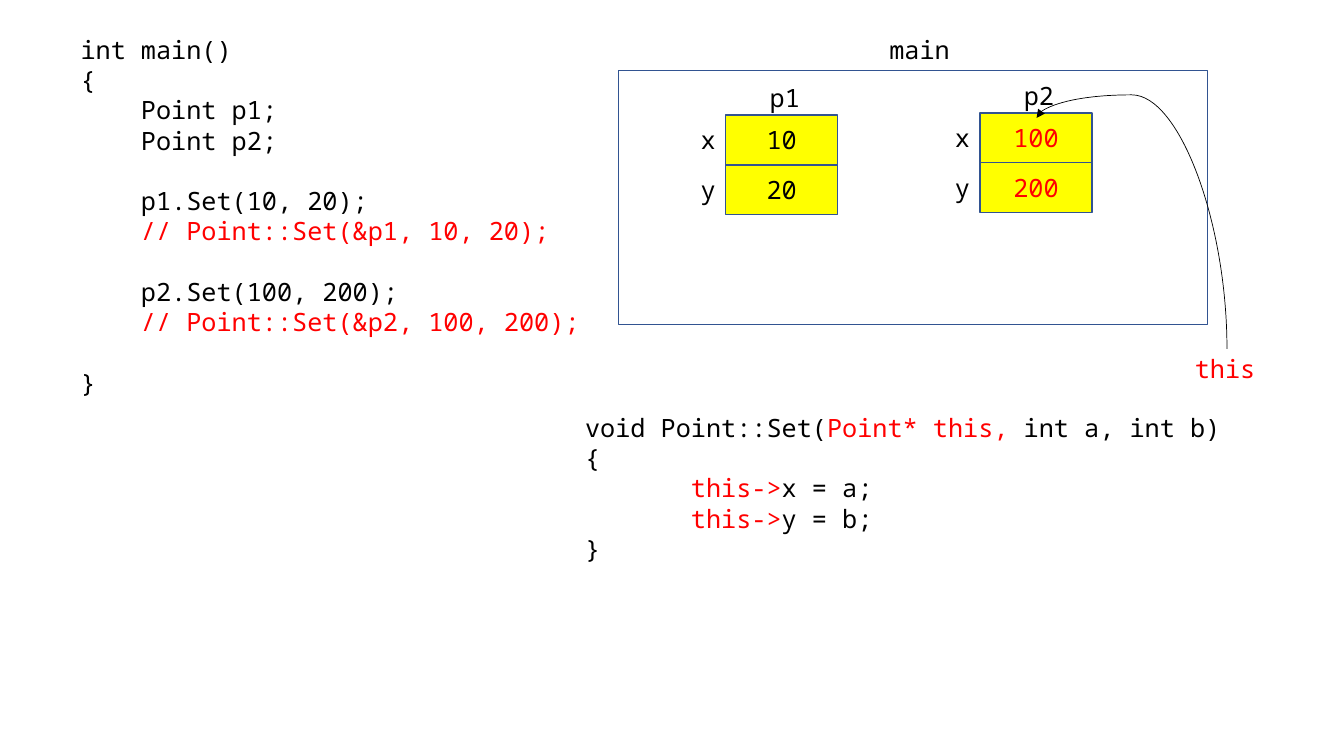
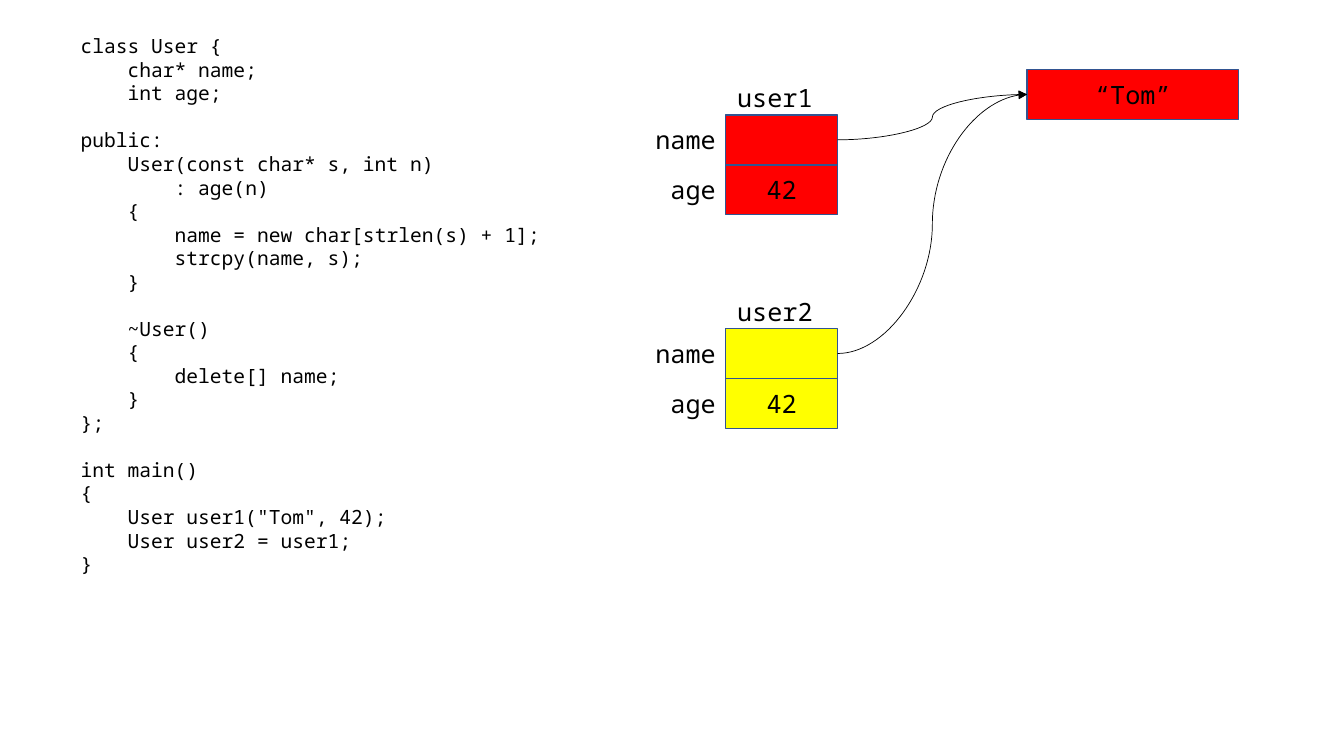
from lxml import etree
from pptx import Presentation
from pptx import util as u
from pptx.dml.color import RGBColor
from pptx.enum import shapes, text
from pptx.oxml import ns

COLORS = {"ink": "000000", "accent": "FF0000", "cell": "FFFF00",
          "paper": "FFFFFF", "edge": "325491"}
FONT = "Noto Sans Mono"
BODY, SMALL = 18, 14
LINE_HEIGHT, CHAR_WIDTH = 1.2, 0.6
WIDTH, HEIGHT = u.Inches(13.33), u.Inches(7.5)
COL, ROW = WIDTH / 120, HEIGHT / 75
CELL_COLS, CELL_ROWS, LABEL_ROWS = 10, 4.95, 4
ALIGN = text.PP_ALIGN

MAIN_CODE = """int main()
{
    Point p1;
    Point p2;

    p1.Set(10, 20);
    `// Point::Set(&p1, 10, 20);`

    p2.Set(100, 200);
    `// Point::Set(&p2, 100, 200);`

}"""

SET_CODE = """ void Point::Set(`Point* this, `int a, int b)
 {
        `this->`x = a;
        `this->`y = b;
 }"""

USER_CODE = """class User {
    char* name;
    int age;

public:
    User(const char* s, int n)
        : age(n)
    {
        name = new char[strlen(s) + 1];
        strcpy(name, s);
    }

    ~User()
    {
        delete[] name;
    }
};

int main()
{
    User user1("Tom", 42);
    User user2 = user1;
}"""


def rgb(color):
    """Look up a named colour."""
    return RGBColor.from_string(COLORS[color])


def place(left, top, cols, rows):
    """Turn a grid box into slide lengths."""
    return [u.Emu(round(n)) for n in (left * COL, top * ROW, cols * COL, rows * ROW)]


def style_run(run, size=BODY, color="ink"):
    """Apply the shared font to a run."""
    run.font.name, run.font.size = FONT, u.Pt(size)
    run.font.color.rgb = rgb(color)


def write(frame, words, align, color="ink"):
    """Put one styled line into a text frame."""
    frame.text = words
    line = frame.paragraphs[0]
    line.alignment = align
    for run in line.runs:
        style_run(run, color=color)


def text_frame(slide, box):
    """Add a wrapping text box and return its frame."""
    frame = slide.shapes.add_textbox(*place(*box)).text_frame
    frame.word_wrap = True
    frame.auto_size = text.MSO_AUTO_SIZE.SHAPE_TO_FIT_TEXT
    return frame


def label(slide, box, words, align=ALIGN.RIGHT, color="ink"):
    """Add a one-line label."""
    write(text_frame(slide, box), words, align, color)


def code(slide, box, source, size=BODY):
    """Set a listing: indents and gaps from its layout, accents between backticks."""
    frame = text_frame(slide, box)
    line, gap = frame.paragraphs[0], 0
    for number, raw in enumerate(source.split("\n")):
        statement = raw.lstrip()
        if not statement:
            gap += size * LINE_HEIGHT
            continue
        if number:
            line = frame.add_paragraph()
        line.space_before = u.Pt(gap)
        indent = (len(raw) - len(statement)) * CHAR_WIDTH * size
        line._p.get_or_add_pPr().set("marL", str(u.Pt(indent)))
        gap = 0
        for part, words in enumerate(statement.split("`")):
            if words:
                run = line.add_run()
                run.text = words
                style_run(run, size, "accent" if part % 2 else "ink")


def block(slide, box, fill, words="", color="ink"):
    """Add an outlined rectangle with centred text."""
    rect = slide.shapes.add_shape(shapes.MSO_SHAPE.RECTANGLE, *place(*box))
    rect.shadow.inherit = False
    rect.fill.solid()
    rect.fill.fore_color.rgb = rgb(fill)
    rect.line.color.rgb, rect.line.width = rgb("edge"), u.Pt(1)
    rect.text_frame.vertical_anchor = text.MSO_ANCHOR.MIDDLE
    if words:
        write(rect.text_frame, words, ALIGN.CENTER, color)
    return rect


def memory(slide, left, top, title, title_shift, title_cols, fields,
           fill="cell", color="ink"):
    """Draw an object as stacked fields and return its cells."""
    cells = []
    for index, (field, value) in enumerate(fields):
        y = top + index * CELL_ROWS
        cells.append(block(slide, (left, y, CELL_COLS, CELL_ROWS), fill, value, color))
        label(slide, (left - CELL_COLS, y + 0.45, CELL_COLS, LABEL_ROWS), field)
    label(slide, (left + title_shift, top - 3.7, title_cols, LABEL_ROWS), title)
    return cells


def curve(slide, *ends):
    """Add a thin curved arrow."""
    arrow = slide.shapes.add_connector(shapes.MSO_CONNECTOR.CURVE, *ends)
    arrow.line.color.rgb, arrow.line.width = rgb("ink"), u.Pt(0.5)
    tip = etree.SubElement(arrow.line._get_or_add_ln(), ns.qn("a:tailEnd"))
    tip.set("type", "triangle")
    etree.SubElement(arrow._element.spPr, ns.qn("a:effectLst"))
    return arrow


def link(slide, pointer, target):
    """Point from the right of one cell to the left of another."""
    arrow = curve(slide, 0, 0, 0, 0)
    arrow.begin_connect(pointer, 3)
    arrow.end_connect(target, 1)


def rising_curve(slide, start, end, overshoot):
    """Rise from start, pass above end and come down on it from the right."""
    x1, y1, x2, y2 = place(*start, *end)
    middle_x, middle_y = (x1 + x2) // 2, (y1 + y2) // 2
    half_rise, half_run = (y1 - y2) // 2, (x1 - x2) // 2
    arrow = curve(slide, middle_x - half_rise, middle_y + half_run,
                  middle_x + half_rise, middle_y - half_run)
    spPr = arrow._element.spPr
    spPr.find(ns.qn("a:xfrm")).set("rot", str(270 * 60000))
    bends = spPr.find(ns.qn("a:prstGeom")).get_or_add_avLst()
    bend = etree.SubElement(bends, ns.qn("a:gd"))
    bend.set("name", "adj1")
    bend.set("fmla", f"val {round(overshoot * 100000)}")


def this_slide(slide):
    """Show how this points at the object being set."""
    code(slide, (6.3, 2.9, 47.1, 37.4), MAIN_CODE)
    block(slide, (55.2, 7, 52.6, 25.2), "paper")
    label(slide, (76.25, 2.9, 11.7, LABEL_ROWS), "main", ALIGN.CENTER)
    memory(slide, 64.8, 11.4, "p1", 2.4, 5.1, [("x", "10"), ("y", "20")])
    memory(slide, 87.5, 11.2, "p2", 2.4, 5.1, [("x", "100"), ("y", "200")],
           color="accent")
    code(slide, (50, 40.4, 63.7, 16.2), SET_CODE)
    label(slide, (105.8, 34.6, 7.6, LABEL_ROWS), "this", ALIGN.LEFT, "accent")
    rising_curve(slide, (109.55, 34.6), (92.55, 11.7), 1.1)


def shallow_copy_slide(slide):
    """Show two users sharing one name."""
    code(slide, (6.3, 2.9, 47.1, 55.2), USER_CODE, SMALL)
    name = block(slide, (91.7, 6.9, 18.9, CELL_ROWS), "accent", "“Tom”")
    fields = [("name", ""), ("age", "42")]
    for title, top, fill in (("user1", 11.4, "accent"), ("user2", 32.6, "cell")):
        cells = memory(slide, 64.8, top, title, -2.6, 11.25, fields, fill)
        link(slide, cells[0], name)


def main():
    """Build and save the deck."""
    deck = Presentation()
    deck.slide_width, deck.slide_height = WIDTH, HEIGHT
    blank = deck.slide_layouts[6]
    for build in (this_slide, shallow_copy_slide):
        build(deck.slides.add_slide(blank))
    deck.save("out.pptx")


main()
